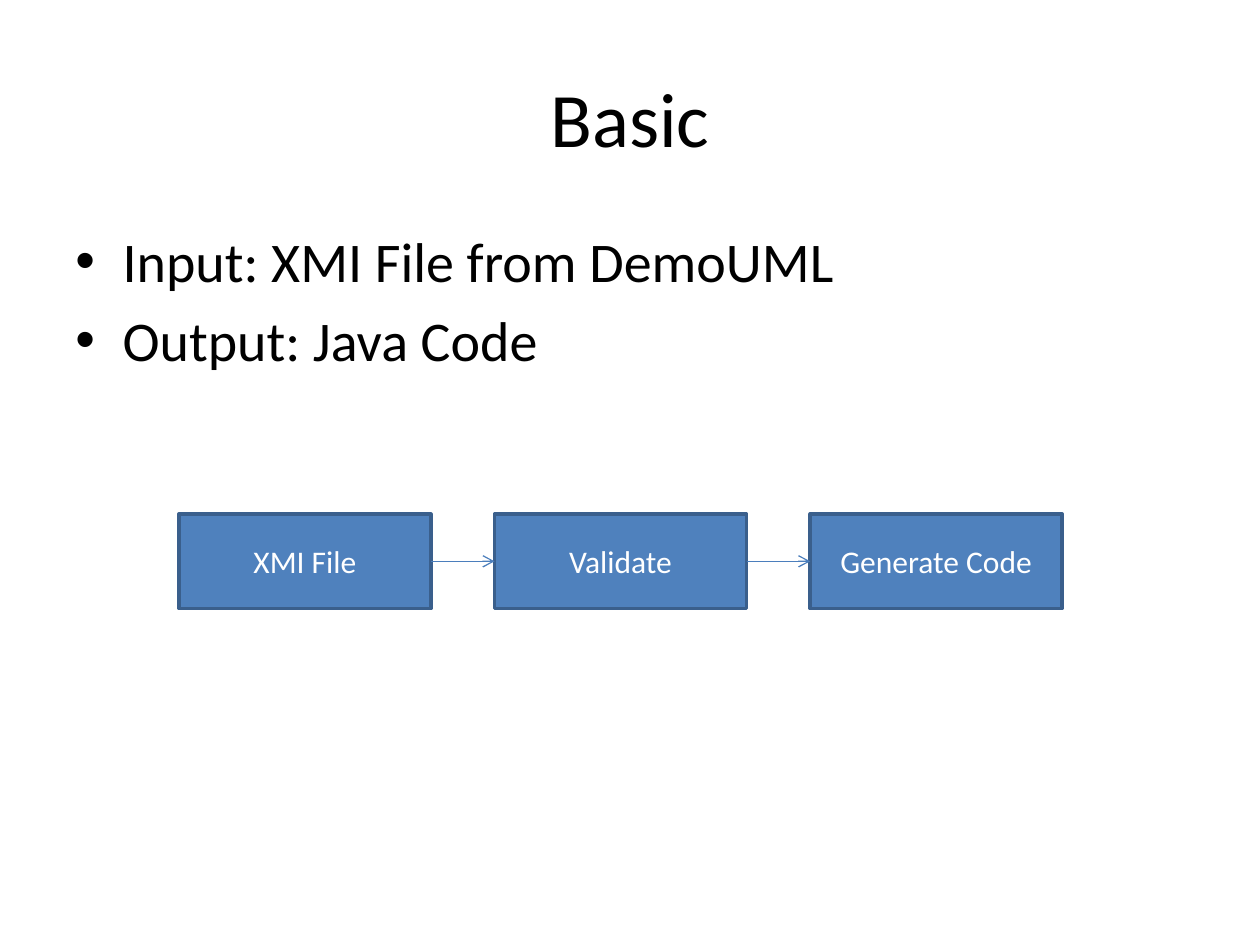
from lxml.etree import SubElement
from pptx import Presentation
from pptx.dml.color import RGBColor
from pptx.enum.shapes import MSO_CONNECTOR, MSO_SHAPE
from pptx.enum.text import MSO_ANCHOR, PP_ALIGN
from pptx.oxml.ns import qn
from pptx.util import Pt

BLACK = RGBColor(0x00, 0x00, 0x00)
WHITE = RGBColor(0xFF, 0xFF, 0xFF)
BLUE = RGBColor(0x4F, 0x81, 0xBD)
EDGE = RGBColor(0x3A, 0x5F, 0x8C)
ARROW = RGBColor(0x4B, 0x7E, 0xBC)
FONT = "Calibri"

STEPS = ["XMI File", "Validate", "Generate Code"]
LEFT, TOP, WIDTH, HEIGHT, PITCH = 102.24, 293.76, 144, 54, 180.36


def add_run(para, text, size, color):
    run = para.add_run()
    run.text = text
    run.font.name = FONT
    run.font.size = Pt(size)
    run.font.color.rgb = color


def add_title(slide, text):
    box = slide.shapes.add_textbox(Pt(36), Pt(21.6), Pt(648), Pt(90))
    frame = box.text_frame
    frame.word_wrap = True
    frame.vertical_anchor = MSO_ANCHOR.MIDDLE
    para = frame.paragraphs[0]
    para.alignment = PP_ALIGN.CENTER
    add_run(para, text, 44, BLACK)


def add_list(slide, items):
    box = slide.shapes.add_textbox(Pt(36), Pt(126), Pt(648), Pt(356.4))
    frame = box.text_frame
    frame.word_wrap = True
    for i, item in enumerate(items):
        para = frame.add_paragraph() if i else frame.paragraphs[0]
        para.space_before = Pt(6.4)
        props = para._p.get_or_add_pPr()
        props.set("marL", str(Pt(27)))
        props.set("indent", str(-Pt(27)))
        SubElement(props, qn("a:buFont"), typeface="Arial")
        SubElement(props, qn("a:buChar"), char="•")
        add_run(para, item, 32, BLACK)


def add_step(slide, left, text):
    box = slide.shapes.add_shape(
        MSO_SHAPE.RECTANGLE, Pt(left), Pt(TOP), Pt(WIDTH), Pt(HEIGHT))
    box.shadow.inherit = False
    box.fill.solid()
    box.fill.fore_color.rgb = BLUE
    box.line.color.rgb = EDGE
    box.line.width = Pt(2)
    frame = box.text_frame
    frame.word_wrap = True
    frame.vertical_anchor = MSO_ANCHOR.MIDDLE
    para = frame.paragraphs[0]
    para.alignment = PP_ALIGN.CENTER
    add_run(para, text, 18, WHITE)


def add_arrow(slide, start, end, y):
    line = slide.shapes.add_connector(
        MSO_CONNECTOR.STRAIGHT, Pt(start), Pt(y), Pt(end), Pt(y))
    line.line.color.rgb = ARROW
    line.line.width = Pt(0.75)
    SubElement(line.line._get_or_add_ln(), qn("a:tailEnd"), type="arrow")
    SubElement(line._element.spPr, qn("a:effectLst"))


def main():
    deck = Presentation()
    deck.slide_width, deck.slide_height = Pt(720), Pt(540)
    slide = deck.slides.add_slide(deck.slide_layouts[6])
    add_title(slide, "Basic")
    add_list(slide, ["Input: XMI File from DemoUML", "Output: Java Code"])
    lefts = [LEFT + i * PITCH for i in range(len(STEPS))]
    for left, text in zip(lefts, STEPS):
        add_step(slide, left, text)
    for left, end in zip(lefts, lefts[1:]):
        add_arrow(slide, left + WIDTH, end, TOP + HEIGHT / 2)
    deck.save("out.pptx")


main()
